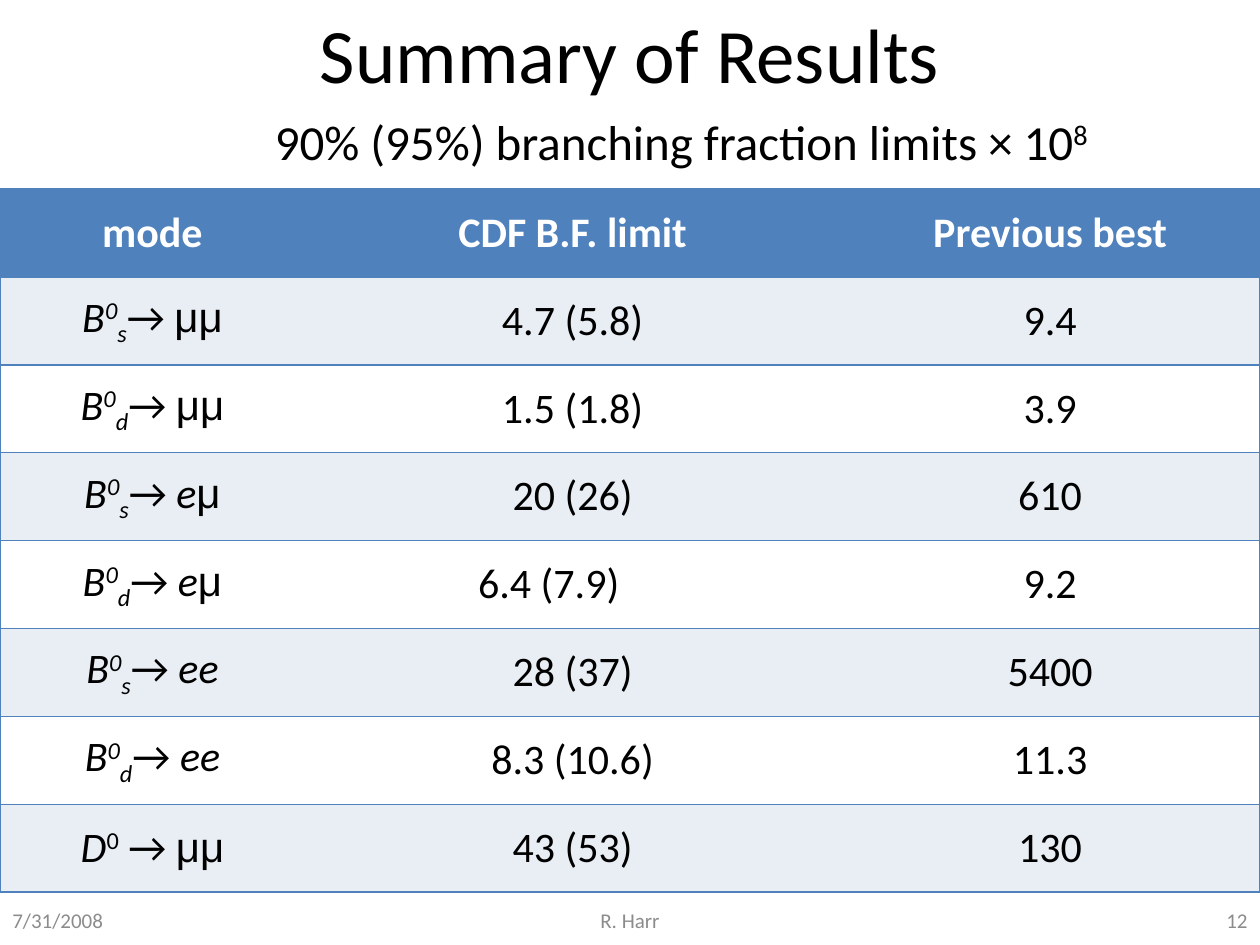
import pptx
import pptx.util
import pptx.dml.color
import pptx.enum.text
from dataclasses import dataclass
from lxml import etree

Cm, Pt = pptx.util.Cm, pptx.util.Pt
RGB = pptx.dml.color.RGBColor.from_string
ALIGN = pptx.enum.text.PP_ALIGN
ANCHOR = pptx.enum.text.MSO_ANCHOR
A = "http://schemas.openxmlformats.org/drawingml/2006/main"


@dataclass(frozen=True)
class Theme:
    font: str = "Calibri"
    greek_font: str = "Arial"
    text: str = "000000"
    inverse: str = "FFFFFF"
    muted: str = "8C8C8C"
    accent: str = "4F81BD"
    band: str = "E9EDF4"
    plain: str = "FFFFFF"
    title_size: int = 44
    subtitle_size: int = 28
    table_size: int = 24
    footer_size: int = 12


THEME = Theme()
SUPER, SUB = 30, -25

HEADERS = ("mode", "CDF B.F. limit", "Previous best")
# meson, its light quark, decay products, new limit, previous limit
RESULTS = (
    ("B", "s", "μμ", "4.7 (5.8)", "9.4"),
    ("B", "d", "μμ", "1.5 (1.8)", "3.9"),
    ("B", "s", "eμ", "20 (26)", "610"),
    ("B", "d", "eμ", "6.4 (7.9)\t", "9.2"),
    ("B", "s", "ee", "28 (37)", "5400"),
    ("B", "d", "ee", "8.3 (10.6)", "11.3"),
    ("D", "", "μμ", "43 (53)", "130"),
)
COLUMN_SHARES = (2.42, 4.25, 3.33)


def style(p, size, color, align=ALIGN.CENTER, bold=False):
    p.alignment = align
    p.font.name, p.font.size, p.font.bold = THEME.font, Pt(size), bold
    p.font.color.rgb = RGB(color)


def add_run(p, text, italic=None, baseline=0, font=None):
    """Add a run; baseline is a percentage, positive for superscript."""
    r = p.add_run()
    r.text = text
    r.font.italic = italic
    r.font.name = font
    if baseline:
        r._r.get_or_add_rPr().set("baseline", str(baseline * 1000))


def add_text(s, box, text, size, color, align=ALIGN.CENTER,
             anchor=ANCHOR.MIDDLE, wrap=True):
    tf = s.shapes.add_textbox(*map(Cm, box)).text_frame
    tf.word_wrap, tf.vertical_anchor = wrap, anchor
    p = tf.paragraphs[0]
    add_run(p, text)
    style(p, size, color, align)
    return p


def add_decay(p, meson, quark, products):
    """Write a decay such as B0s → eμ, with Latin particle names in italics."""
    add_run(p, meson, italic=True)
    add_run(p, "0", italic=bool(quark), baseline=SUPER)
    if quark:
        add_run(p, quark, italic=True, baseline=SUB)
    add_run(p, "→ " if quark else " → ")
    electrons = products.rstrip("μ")
    muons = products[len(electrons):]
    if electrons:
        add_run(p, electrons, italic=True)
    if muons:
        add_run(p, muons, font=THEME.greek_font)


def set_borders(cell, visible):
    """Rule the listed sides (of L, R, T, B) and clear the others."""
    tc_pr = cell._tc.get_or_add_tcPr()
    for side in "LRTB":
        ln = etree.SubElement(tc_pr, f"{{{A}}}ln{side}", w=str(Pt(1)))
        if side in visible:
            fill = etree.SubElement(ln, f"{{{A}}}solidFill")
            etree.SubElement(fill, f"{{{A}}}srgbClr", val=THEME.accent)
        else:
            etree.SubElement(ln, f"{{{A}}}noFill")


def add_results_table(s, box):
    width, height = box[2:]
    rows, cols = len(RESULTS) + 1, len(HEADERS)
    table = s.shapes.add_table(rows, cols, *map(Cm, box)).table
    for column, share in zip(table.columns, COLUMN_SHARES):
        column.width = Cm(width * share / sum(COLUMN_SHARES))
    for row in table.rows:
        row.height = Cm(height / rows)

    for i in range(rows):
        header = i == 0
        fill = THEME.accent if header else THEME.band if i % 2 else THEME.plain
        for j in range(cols):
            cell = table.cell(i, j)
            cell.vertical_anchor = ANCHOR.MIDDLE
            sides = {0: "LTB", cols - 1: "RTB"}.get(j, "TB")
            set_borders(cell, sides)
            cell.fill.solid()
            cell.fill.fore_color.rgb = RGB(fill)
            p = cell.text_frame.paragraphs[0]
            if header:
                add_run(p, HEADERS[j])
            elif j == 0:
                add_decay(p, *RESULTS[i - 1][:3])
            else:
                add_run(p, RESULTS[i - 1][j + 2])
            style(p, THEME.table_size, THEME.inverse if header else THEME.text,
                  bold=header)


def add_heading(s, box):
    left, top, width, _ = box
    add_text(s, (left, top, width, 2.12), "Summary of Results",
             THEME.title_size, THEME.text)
    p = add_text(s, (left + 5.29, top + 2.12, 17.3, 1.45),
                 "90% (95%) branching fraction limits × 10",
                 THEME.subtitle_size, THEME.text, ALIGN.LEFT, ANCHOR.TOP, False)
    add_run(p, "8", baseline=SUPER)


def add_footer(s, box):
    left, top, width, height = box
    side, middle = 5.93, 8.04
    for x, w, text, align in (
        (0, side, "7/31/2008", ALIGN.LEFT),
        ((width - middle) / 2, middle, "R. Harr", ALIGN.CENTER),
        (width - side, side, "12", ALIGN.RIGHT),
    ):
        add_text(s, (left + x, top, w, height), text,
                 THEME.footer_size, THEME.muted, align)


def main():
    prs = pptx.Presentation()
    prs.slide_width, prs.slide_height = Cm(25.4), Cm(19.05)
    s = prs.slides.add_slide(prs.slide_layouts[6])
    add_heading(s, (0, 0, 25.4, 3.57))
    add_results_table(s, (0, 3.81, 25.4, 14.18))
    add_footer(s, (0, 18.03, 25.4, 1.02))
    prs.save("out.pptx")


if __name__ == "__main__":
    main()
